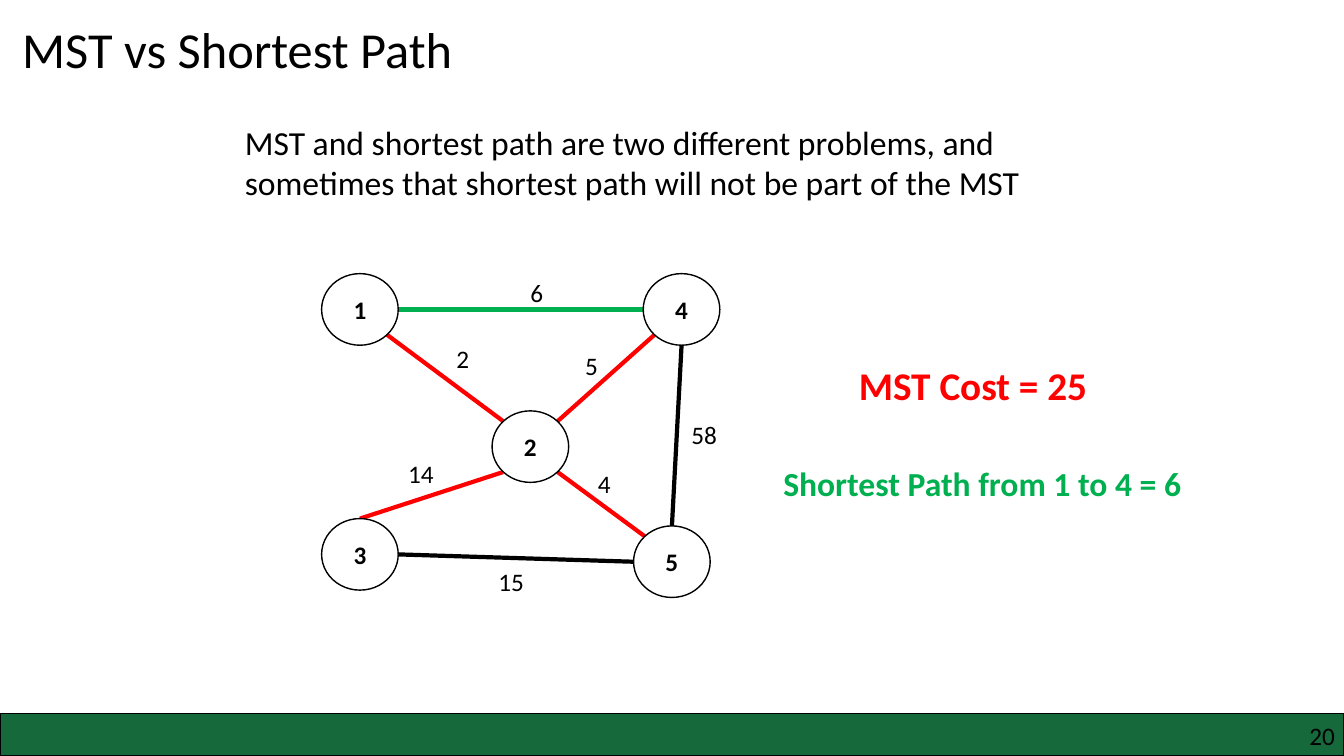
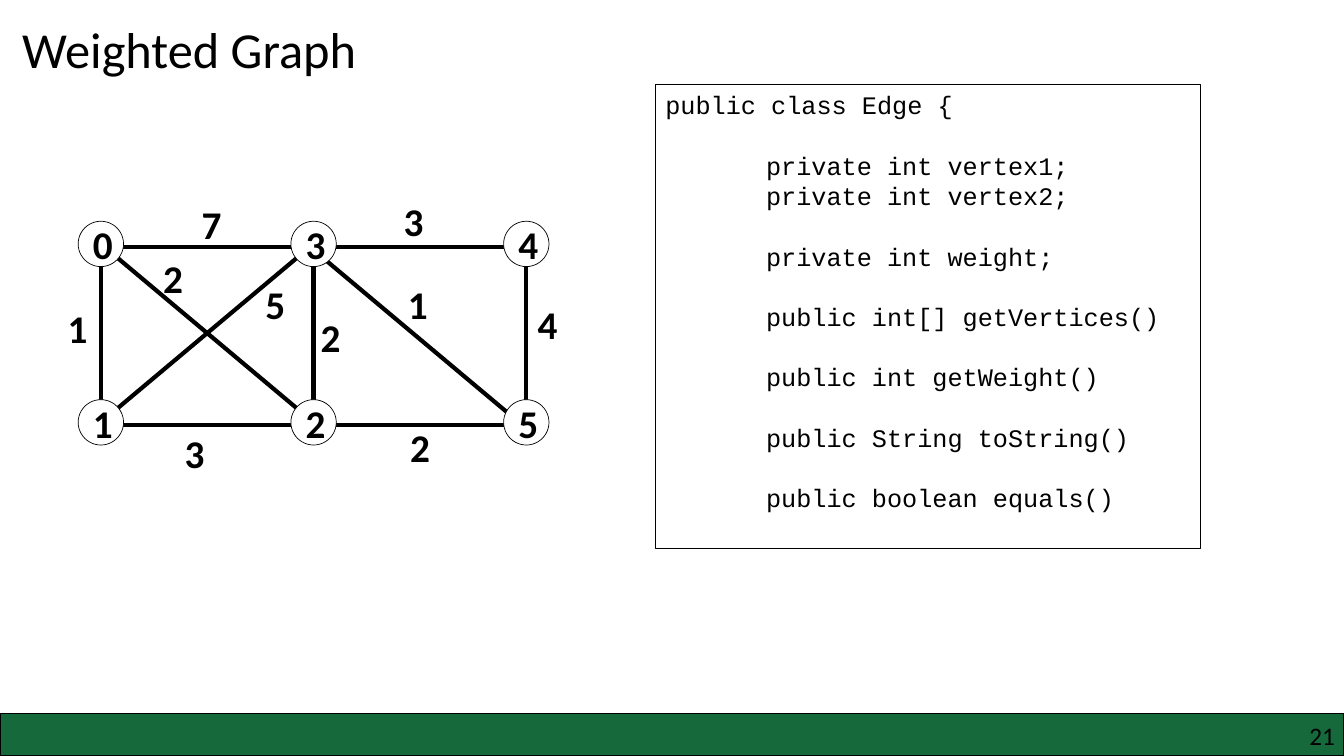
"""Build two slides about spanning trees and weighted graphs."""

from dataclasses import dataclass, field
from enum import Enum

from lxml import etree
from pptx import Presentation
from pptx.dml.color import RGBColor
from pptx.enum.shapes import MSO_CONNECTOR, MSO_SHAPE
from pptx.enum.text import MSO_ANCHOR, MSO_AUTO_SIZE, PP_ALIGN
from pptx.oxml.ns import qn
from pptx.shapes.autoshape import Shape
from pptx.slide import Slide
from pptx.text.text import TextFrame
from pptx.util import Inches, Pt

STRAIGHT = MSO_CONNECTOR.STRAIGHT
ELLIPSE, RECTANGLE = MSO_SHAPE.OVAL, MSO_SHAPE.RECTANGLE
TOP, MIDDLE = MSO_ANCHOR.TOP, MSO_ANCHOR.MIDDLE
LEFT, CENTER, RIGHT = PP_ALIGN.LEFT, PP_ALIGN.CENTER, PP_ALIGN.RIGHT
NO_AUTOFIT = MSO_AUTO_SIZE.NONE

SLIDE_WIDTH, SLIDE_HEIGHT = 13.33, 7.5
BAND_HEIGHT = 0.42
TITLE_ONLY_LAYOUT = 5
DIAGONAL = 0.71


@dataclass(frozen=True)
class Theme:
    """Colours, fonts and type sizes shared by the slides."""

    ink: RGBColor = RGBColor(0x00, 0x00, 0x00)
    paper: RGBColor = RGBColor(0xFF, 0xFF, 0xFF)
    band: RGBColor = RGBColor(0x15, 0x69, 0x3B)
    tree: RGBColor = RGBColor(0xFF, 0x00, 0x00)
    shortest: RGBColor = RGBColor(0x00, 0xB0, 0x50)
    text_font: str = "Calibri"
    code_font: str = "Courier New"
    title: float = 36
    large: float = 28
    medium: float = 24
    small: float = 18
    code_line: float = 21.6
    edge_width: float = 3


THEME = Theme()


class Site(Enum):
    """Places on a node where an edge may end, in node radii."""

    MIDDLE = (0, 0)
    TOP = (0, -1)
    BOTTOM = (0, 1)
    LEFT = (-1, 0)
    RIGHT = (1, 0)
    TOP_LEFT = (-DIAGONAL, -DIAGONAL)
    TOP_RIGHT = (DIAGONAL, -DIAGONAL)
    BOTTOM_LEFT = (-DIAGONAL, DIAGONAL)
    BOTTOM_RIGHT = (DIAGONAL, DIAGONAL)


@dataclass(frozen=True)
class Box:
    """A rectangle in inches."""

    left: float
    top: float
    width: float
    height: float

    @classmethod
    def around(cls, center: tuple[float, float], width: float, height: float) -> "Box":
        """Return the box of the given size about a centre."""
        return cls(center[0] - width / 2, center[1] - height / 2, width, height)

    def lengths(self) -> tuple[int, int, int, int]:
        """Return the four lengths for python-pptx."""
        return (Inches(self.left), Inches(self.top), Inches(self.width), Inches(self.height))


@dataclass(frozen=True)
class TextStyle:
    """How the paragraphs of a text look."""

    size: float
    color: RGBColor = THEME.ink
    bold: bool = False
    alignment: PP_ALIGN = LEFT
    font: str = THEME.text_font


@dataclass(frozen=True)
class Grid:
    """A grid that holds the nodes of a graph."""

    left: float
    top: float
    column: float
    row: float

    def point(self, column: float, row: float) -> tuple[float, float]:
        """Return the inches of a grid position."""
        return self.left + column * self.column, self.top + row * self.row


@dataclass(frozen=True)
class Edge:
    """A weighted edge, with its weight placed by column and row."""

    start: str
    end: str
    weight: str
    column: float
    row: float
    color: RGBColor = THEME.ink
    start_site: Site = Site.MIDDLE
    end_site: Site = Site.MIDDLE
    drop: float = 0


@dataclass(frozen=True)
class Graph:
    """Nodes and edges on a grid, with their looks."""

    grid: Grid
    nodes: dict[str, tuple[float, float]]
    edges: list[Edge]
    node_size: tuple[float, float]
    node_line: float
    weight_size: tuple[float, float]
    node_style: TextStyle
    weight_style: TextStyle
    node_inset: float = 0


@dataclass(frozen=True)
class CodeLine:
    """A line of code, its indent in inches and whether a gap precedes it."""

    text: str
    indent: float = 1
    gap: bool = True


@dataclass(frozen=True)
class Page:
    """The content of one slide."""

    number: int
    title: str
    graph: Graph
    notes: list[tuple[str, Box, TextStyle]] = field(default_factory=list)
    code: list[CodeLine] = field(default_factory=list)


PATH_GRAPH = Graph(
    grid=Grid(3.57, 3.07, 3.19, 2.43),
    nodes={"1": (0, 0), "4": (1, 0), "2": (0.53, 0.56), "3": (0, 1), "5": (0.97, 1.03)},
    edges=[
        Edge("1", "4", "6", 0.55, -0.07, THEME.shortest, Site.RIGHT, Site.LEFT),
        Edge("1", "2", "2", 0.32, 0.2, THEME.tree, Site.BOTTOM_RIGHT, Site.TOP_LEFT),
        Edge("4", "2", "5", 0.72, 0.23, THEME.tree, Site.BOTTOM_LEFT, Site.TOP_RIGHT),
        Edge("2", "3", "14", 0.19, 0.67, THEME.tree, Site.BOTTOM_LEFT, Site.TOP),
        Edge("2", "5", "4", 0.76, 0.71, THEME.tree, Site.BOTTOM_RIGHT, Site.TOP_LEFT),
        Edge("4", "5", "58", 1.07, 0.51, THEME.ink, Site.BOTTOM, Site.TOP),
        Edge("3", "5", "15", 0.47, 1.11, THEME.ink, Site.RIGHT, Site.LEFT),
    ],
    node_size=(0.76, 0.71),
    node_line=1,
    weight_size=(0.46, 0.4),
    node_style=TextStyle(THEME.small, bold=True, alignment=CENTER),
    weight_style=TextStyle(THEME.small, alignment=CENTER),
)

LARGE_DIGIT = TextStyle(THEME.large, bold=True, alignment=CENTER)
WEIGHTED_GRAPH = Graph(
    grid=Grid(1, 2.42, 2.11, 1.77),
    nodes={"0": (0, 0), "3": (1, 0), "4": (2, 0), "1": (0, 1), "2": (1, 1), "5": (2, 1)},
    edges=[
        Edge("0", "1", "1", -0.11, 0.47),
        Edge("4", "5", "4", 2.1, 0.45),
        Edge("3", "2", "2", 1.08, 0.52),
        Edge("0", "3", "7", 0.52, -0.11, drop=0.03),
        Edge("1", "2", "3", 0.44, 1.17, drop=0.03),
        Edge("3", "4", "3", 1.47, -0.13, drop=0.03),
        Edge("2", "5", "2", 1.5, 1.14, drop=0.03),
        Edge("0", "2", "2", 0.34, 0.19),
        Edge("3", "5", "1", 1.49, 0.34, drop=0.06),
        Edge("3", "1", "5", 0.82, 0.34),
    ],
    node_size=(0.45, 0.45),
    node_line=0.5,
    weight_size=(0.61, 0.57),
    node_style=LARGE_DIGIT,
    weight_style=LARGE_DIGIT,
    node_inset=0.04,
)

PAGES = [
    Page(20, "MST vs Shortest Path", PATH_GRAPH, notes=[
        ("MST and shortest path are two different problems, and sometimes that "
         "shortest path will not be part of the MST",
         Box(2.33, 1.16, 8.1, 0.91), TextStyle(THEME.medium)),
        ("MST Cost = 25", Box(8.42, 3.54, 2.49, 0.57),
         TextStyle(THEME.large, THEME.tree, bold=True)),
        ("Shortest Path from 1 to 4 = 6", Box(7.67, 4.54, 4.18, 0.5),
         TextStyle(THEME.medium, THEME.shortest, bold=True)),
    ]),
    Page(21, "Weighted Graph", WEIGHTED_GRAPH, code=[
        CodeLine("public class Edge {", indent=0, gap=False),
        CodeLine("private int vertex1;"),
        CodeLine("private int vertex2;", gap=False),
        CodeLine("private int weight;"),
        CodeLine("public int[] getVertices()"),
        CodeLine("public int getWeight()"),
        CodeLine("public String toString()"),
        CodeLine("public boolean equals()"),
    ]),
]


def write(frame: TextFrame, text: str, style: TextStyle) -> None:
    """Fill a text frame and format its paragraphs."""
    frame.text = text
    for paragraph in frame.paragraphs:
        paragraph.alignment = style.alignment
        font = paragraph.font
        font.name, font.size, font.bold = style.font, Pt(style.size), style.bold
        font.color.rgb = style.color


def set_margins(frame: TextFrame, left: float = 0) -> None:
    """Clear the insets of a text frame, except an optional left one."""
    frame.margin_left = Inches(left)
    frame.margin_top = frame.margin_right = frame.margin_bottom = 0


def add_text(slide: Slide, text: str, box: Box, style: TextStyle) -> TextFrame:
    """Add a wrapping text box."""
    frame = slide.shapes.add_textbox(*box.lengths()).text_frame
    frame.word_wrap = True
    write(frame, text, style)
    return frame


def add_outlined(slide: Slide, preset: MSO_SHAPE, box: Box, fill: RGBColor, width: float) -> Shape:
    """Add a filled shape with an ink outline."""
    shape = slide.shapes.add_shape(preset, *box.lengths())
    shape.shadow.inherit = False
    shape.fill.solid()
    shape.fill.fore_color.rgb = fill
    shape.line.color.rgb = THEME.ink
    shape.line.width = Pt(width)
    return shape


def add_edge(slide: Slide, graph: Graph, edge: Edge) -> None:
    """Draw the line of an edge between two nodes."""
    ends = []
    for node, site in ((edge.start, edge.start_site), (edge.end, edge.end_site)):
        x, y = graph.grid.point(*graph.nodes[node])
        across, down = site.value
        ends += [Inches(x + across * graph.node_size[0] / 2),
                 Inches(y + down * graph.node_size[1] / 2 + edge.drop)]
    connector = slide.shapes.add_connector(STRAIGHT, *ends)
    connector.line.color.rgb = edge.color
    connector.line.width = Pt(THEME.edge_width)
    etree.SubElement(connector._element.spPr, qn("a:effectLst"))


def add_graph(slide: Slide, graph: Graph) -> None:
    """Draw edges, then nodes, then weights."""
    for edge in graph.edges:
        add_edge(slide, graph, edge)
    for name, position in graph.nodes.items():
        box = Box.around(graph.grid.point(*position), *graph.node_size)
        node = add_outlined(slide, ELLIPSE, box, THEME.paper, graph.node_line)
        set_margins(node.text_frame, graph.node_inset)
        node.text_frame.vertical_anchor = MIDDLE
        node.text_frame.word_wrap = False
        write(node.text_frame, name, graph.node_style)
    for edge in graph.edges:
        box = Box.around(graph.grid.point(edge.column, edge.row), *graph.weight_size)
        add_text(slide, edge.weight, box, graph.weight_style)


def add_code(slide: Slide, lines: list[CodeLine]) -> None:
    """Add the framed code listing."""
    frame = add_outlined(slide, RECTANGLE, Box(6.5, 0.84, 5.41, 4.6), THEME.paper, 1).text_frame
    frame.vertical_anchor = TOP
    write(frame, "\n".join(line.text for line in lines),
          TextStyle(THEME.small, font=THEME.code_font))
    for paragraph, line in zip(frame.paragraphs, lines):
        paragraph.line_spacing = Pt(THEME.code_line)
        paragraph.space_before = Pt(THEME.code_line if line.gap else 0)
        paragraph._p.get_or_add_pPr().set("marL", str(Inches(line.indent)))


def add_page(presentation: Presentation, page: Page) -> None:
    """Add one slide with title, content, band and number."""
    slide = presentation.slides.add_slide(presentation.slide_layouts[TITLE_ONLY_LAYOUT])
    title = slide.shapes.title
    title.left, title.top, title.width, title.height = Box(0.12, 0.13, 4.5, 0.71).lengths()
    frame = title.text_frame
    frame.auto_size, frame.vertical_anchor, frame.word_wrap = NO_AUTOFIT, TOP, True
    write(frame, page.title, TextStyle(THEME.title))
    for text, box, style in page.notes:
        add_text(slide, text, box, style)
    add_graph(slide, page.graph)
    if page.code:
        add_code(slide, page.code)
    band = Box(0, SLIDE_HEIGHT - BAND_HEIGHT, SLIDE_WIDTH, BAND_HEIGHT)
    add_outlined(slide, RECTANGLE, band, THEME.band, 1)
    number_style = TextStyle(THEME.small, alignment=RIGHT)
    set_margins(add_text(slide, str(page.number), Box(10.17, 7.15, 3.07, 0.3), number_style))


def main() -> None:
    """Build and save the presentation."""
    presentation = Presentation()
    presentation.slide_width = Inches(SLIDE_WIDTH)
    presentation.slide_height = Inches(SLIDE_HEIGHT)
    for page in PAGES:
        add_page(presentation, page)
    presentation.save("out.pptx")


if __name__ == "__main__":
    main()
